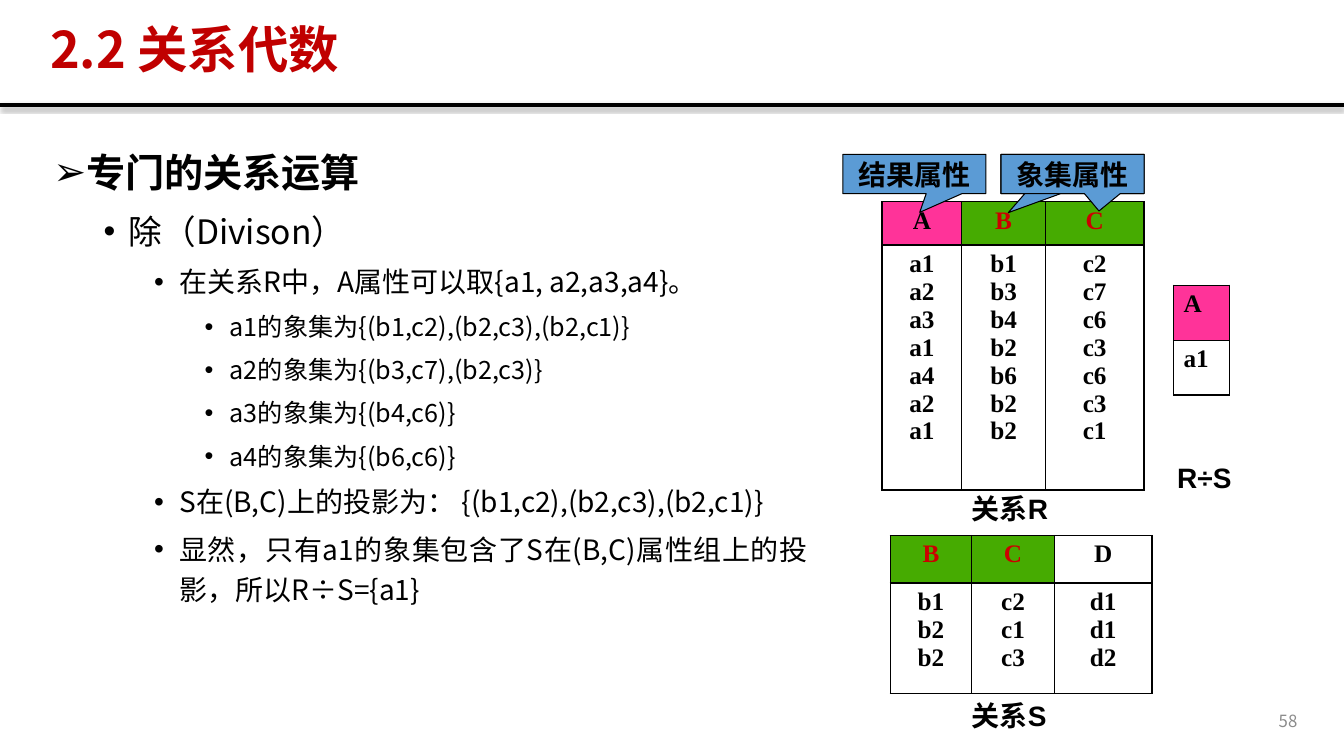
from pptx import Presentation
from pptx.dml.color import RGBColor
from pptx.enum.shapes import MSO_CONNECTOR, MSO_SHAPE
from pptx.enum.text import MSO_ANCHOR, PP_ALIGN
from pptx.oxml import parse_xml
from pptx.oxml.ns import nsdecls, qn
from pptx.util import Pt
from lxml.etree import SubElement

BLACK = RGBColor(0x00, 0x00, 0x00)
CRIMSON = RGBColor(0xC0, 0x00, 0x00)
RED = RGBColor(0xCC, 0x00, 0x00)
PINK = RGBColor(0xFF, 0x33, 0x99)
GREEN = RGBColor(0x46, 0xAB, 0x01)
BLUE = RGBColor(0x5B, 0x9B, 0xD5)
GRAY = RGBColor(0x8C, 0x8C, 0x8C)
SANS = "Noto Sans CJK SC"
SERIF = "Times New Roman"
WIDE, HIGH = 960, 540

POINTS = [
    (0, "专门的关系运算"),
    (1, "除（Divison）"),
    (2, "在关系R中，A属性可以取{a1, a2,a3,a4}。"),
    (3, "a1的象集为{(b1,c2),(b2,c3),(b2,c1)}"),
    (3, "a2的象集为{(b3,c7),(b2,c3)}"),
    (3, "a3的象集为{(b4,c6)}"),
    (3, "a4的象集为{(b6,c6)}"),
    (2, "S在(B,C)上的投影为： {(b1,c2),(b2,c3),(b2,c1)}"),
    (2, "显然，只有a1的象集包含了S在(B,C)属性组上的投影，所以R÷S={a1}"),
]
SIZES = [28, 24, 20, 18]


def write(para, words, size=20, color=BLACK, bold=True, face="Arial",
          align=PP_ALIGN.LEFT, space=1, before=0, mark=None, level=0):
    para.alignment = align
    para.line_spacing = space
    para.space_before = Pt(before)
    if mark:
        para.level = level
        props = para._p.get_or_add_pPr()
        props.set("marL", str(Pt(18 + 36 * level)))
        props.set("indent", str(Pt(-18)))
        SubElement(props, qn("a:buFont")).set("typeface", "Arial")
        SubElement(props, qn("a:buChar")).set("char", mark)
    run = para.add_run()
    run.text = words
    font = run.font
    font.size, font.bold, font.name = Pt(size), bold, face
    font.color.rgb = color
    SubElement(run._r.get_or_add_rPr(), qn("a:ea")).set("typeface", SANS)


def add_box(slide, left, top, width, height, anchor=MSO_ANCHOR.TOP):
    frame = slide.shapes.add_textbox(Pt(left), Pt(top), Pt(width), Pt(height)).text_frame
    frame.word_wrap = True
    frame.vertical_anchor = anchor
    return frame


def add_label(slide, words, left, top, width, height, anchor=MSO_ANCHOR.TOP, **style):
    write(add_box(slide, left, top, width, height, anchor).paragraphs[0], words, **style)


def add_head(slide, left, top, width, height):
    add_label(slide, "2.2 关系代数", left + 28.8, top + 13.7, width - 117.6, 46.8,
              MSO_ANCHOR.MIDDLE, size=36, color=CRIMSON, face=SANS, space=0.9)
    base = top + height
    rule = slide.shapes.add_connector(MSO_CONNECTOR.STRAIGHT, Pt(left), Pt(base),
                                      Pt(left + width), Pt(base))
    rule.line.color.rgb = BLACK
    rule.line.width = Pt(3)
    rule._element.spPr.append(parse_xml(
        f'<a:effectLst {nsdecls("a")}><a:outerShdw blurRad="{Pt(3.1)}" dist="{Pt(1.8)}" '
        'dir="5400000" algn="t" rotWithShape="0"><a:srgbClr val="000000">'
        '<a:alpha val="35000"/></a:srgbClr></a:outerShdw></a:effectLst>'))


def add_points(slide, left, top, width, height):
    frame = add_box(slide, left, top, width, height)
    for index, (level, words) in enumerate(POINTS):
        para = frame.add_paragraph() if index else frame.paragraphs[0]
        write(para, words, size=SIZES[level], bold=level == 0, face=SANS,
              align=PP_ALIGN.JUSTIFY, space=1.2, before=5 if index else 0,
              mark="•" if level else "➢", level=level)


def add_edge(cell):
    props = cell._tc.get_or_add_tcPr()
    for side in ("lnL", "lnR", "lnT", "lnB"):
        props.append(parse_xml(
            f'<a:{side} {nsdecls("a")} w="{Pt(1)}"><a:solidFill>'
            f'<a:srgbClr val="{BLACK}"/></a:solidFill></a:{side}>'))


def add_grid(slide, left, top, widths, heights, heads, data, align=PP_ALIGN.CENTER):
    table = slide.shapes.add_table(2, len(widths), Pt(left), Pt(top),
                                   Pt(sum(widths)), Pt(sum(heights))).table
    table.first_row = table.horz_banding = False
    for row, height in zip(table.rows, heights):
        row.height = Pt(height)
    for col, (width, head, items) in enumerate(zip(widths, heads, data)):
        table.columns[col].width = Pt(width)
        name, fill, color = head
        parts = [([name], fill, color), (items.split(), None, BLACK)]
        for row, (lines, back, ink) in enumerate(parts):
            cell = table.cell(row, col)
            add_edge(cell)
            if back:
                cell.fill.solid()
                cell.fill.fore_color.rgb = back
            else:
                cell.fill.background()
            frame = cell.text_frame
            for index, words in enumerate(lines):
                para = frame.add_paragraph() if index else frame.paragraphs[0]
                write(para, words, size=18, color=ink, face=SERIF, align=align)


def add_call(slide, left, top, tip, words=None):
    shape = slide.shapes.add_shape(MSO_SHAPE.RECTANGULAR_CALLOUT, Pt(left), Pt(top),
                                   Pt(102.2), Pt(28.1))
    shape.shadow.inherit = False
    for index, value in enumerate(tip):
        shape.adjustments[index] = value
    shape.fill.solid()
    shape.fill.fore_color.rgb = BLUE
    shape.line.color.rgb = BLACK
    shape.line.width = Pt(0.75)
    if words:
        frame = shape.text_frame
        frame.vertical_anchor = MSO_ANCHOR.MIDDLE
        frame.margin_top = frame.margin_bottom = 0
        write(frame.paragraphs[0], words, align=PP_ALIGN.CENTER)


def add_tables(slide, left, top):
    add_grid(slide, left + 28, top + 33.8, [57, 59.8, 70.4], [31, 175],
             [("A", PINK, BLACK), ("B", GREEN, RED), ("C", GREEN, RED)],
             ["a1 a2 a3 a1 a4 a2 a1", "b1 b3 b4 b2 b6 b2 b2", "c2 c7 c6 c3 c6 c3 c1"])
    add_grid(slide, left + 33.8, top + 272.2, [58.3, 59, 69.8], [34, 79.2],
             [("B", GREEN, RED), ("C", GREEN, RED), ("D", None, BLACK)],
             ["b1 b2 b2", "c2 c1 c3", "d1 d1 d2"])
    add_grid(slide, left + 236.2, top + 93.6, [40.3], [39.4, 39],
             [("A", PINK, BLACK)], ["a1"], PP_ALIGN.LEFT)
    for words, across, down in [("关系R", 85, 237.6), ("关系S", 85, 385.2),
                                ("R÷S", 231.8, 215.3)]:
        add_label(slide, words, left + across, top + down, 85, 31)
    add_call(slide, left, top, (0.038, 0.976), "结果属性")
    add_call(slide, left + 113, top, (-0.449, 0.985))
    add_call(slide, left + 113, top, (0.185, 0.941), "象集属性")


def main():
    deck = Presentation()
    deck.slide_width, deck.slide_height = Pt(WIDE), Pt(HIGH)
    slide = deck.slides.add_slide(deck.slide_layouts[6])
    add_head(slide, 0, 0, WIDE, 74.9)
    add_points(slide, 31, 95.8, 553, 390.2)
    add_tables(slide, 602, 110.2)
    add_label(slide, "58", 717.8, 500.4, 216, 28.8, MSO_ANCHOR.MIDDLE, size=12,
              color=GRAY, bold=False, face=SANS, align=PP_ALIGN.RIGHT)
    deck.save("out.pptx")


if __name__ == "__main__":
    main()
